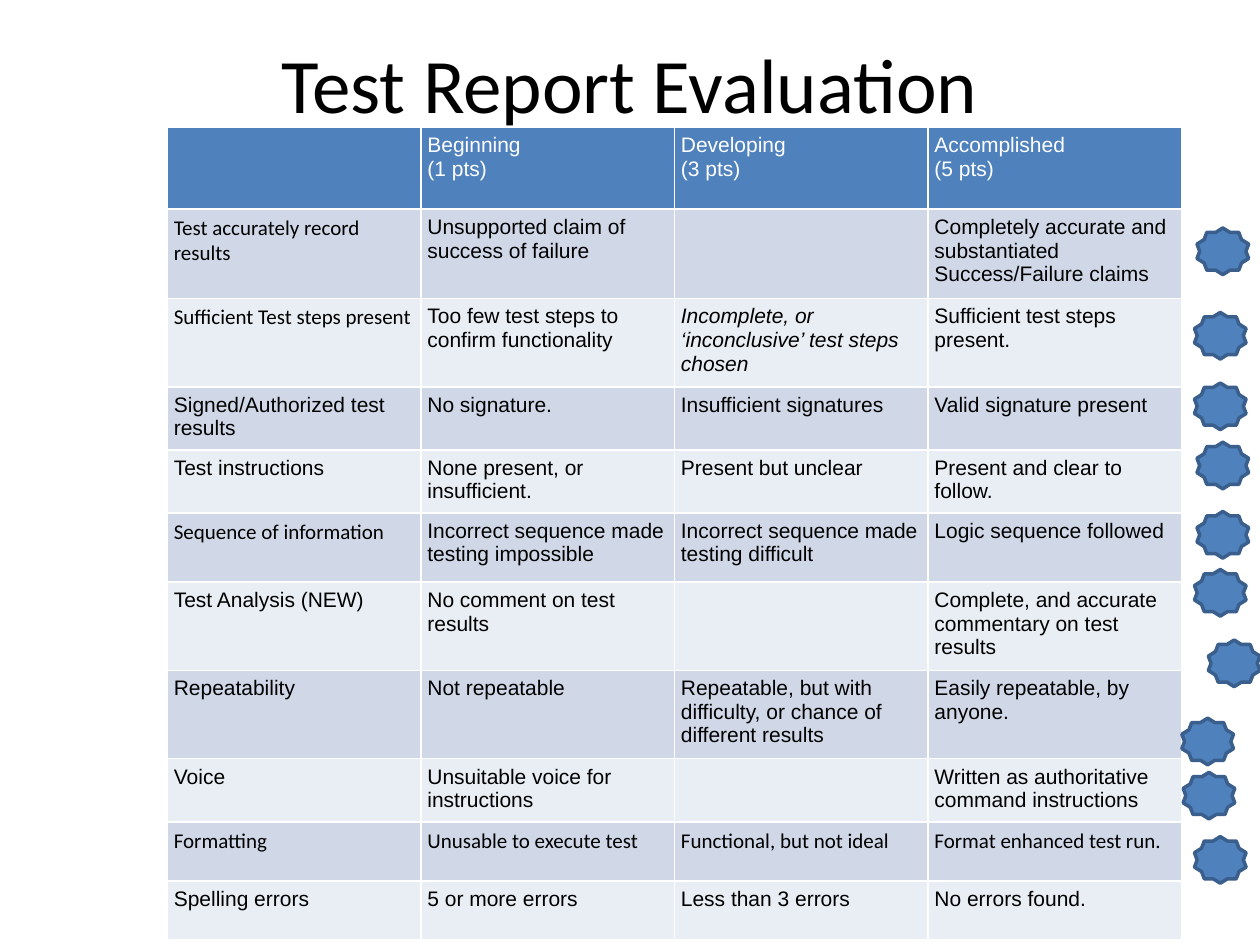
"""Build the test report evaluation rubric slide."""
from dataclasses import dataclass

from pptx import Presentation
from pptx.dml.color import RGBColor
from pptx.enum.shapes import MSO_SHAPE
from pptx.enum.text import MSO_ANCHOR, PP_ALIGN
from pptx.util import Inches, Pt

STAR = MSO_SHAPE.STAR_10_POINT
MIDDLE = MSO_ANCHOR.MIDDLE
CENTER = PP_ALIGN.CENTER

GRID_COLUMNS, GRID_ROWS = 100, 75
SLIDE_WIDTH, SLIDE_HEIGHT = Inches(10), Inches(7.5)
BLUE, DARK_BLUE = "4F81BD", "3A5F8C"
BANDS = ("D0D8E8", "E9EDF4")
BLACK, WHITE = "000000", "FFFFFF"


@dataclass(frozen=True)
class Criterion:
    """A rubric row: height in grid rows, texts, and how its fonts differ."""

    height: float
    texts: tuple[str, str, str, str]
    calibri_columns: int = 0
    italic_column: int | None = None


@dataclass(frozen=True)
class Star:
    """The top left corner of a score star, in grid columns and rows."""

    column: float
    row: float


HEADER = Criterion(6.5, ("", "Beginning\v(1 pts)", "Developing\v(3 pts)", "Accomplished\v(5 pts)"))
CRITERIA = (
    Criterion(7.1, ("Test accurately record results", "Unsupported claim of success of failure", "",
                    "Completely accurate and substantiated Success/Failure claims"), 1),
    Criterion(5.3, ("Sufficient Test steps present", "Too few test steps to confirm functionality",
                    "Incomplete, or ‘inconclusive’ test steps chosen",
                    "Sufficient test steps present."), 1, 2),
    Criterion(4.9, ("Signed/Authorized test results", "No signature.",
                    "Insufficient signatures", "Valid signature present")),
    Criterion(4.9, ("Test instructions", "None present, or insufficient.",
                    "Present but unclear", "Present and clear to follow.")),
    Criterion(5.5, ("Sequence of information", "Incorrect sequence made testing impossible",
                    "Incorrect sequence made testing difficult", "Logic sequence followed"), 1),
    Criterion(4.7, ("Test Analysis (NEW)", "No comment on test results", "",
                    "Complete, and accurate commentary on test results")),
    Criterion(4.7, ("Repeatability", "Not repeatable",
                    "Repeatable, but with difficulty, or chance of different results",
                    "Easily repeatable, by anyone.")),
    Criterion(4.7, ("Voice", "Unsuitable voice for instructions", "",
                    "Written as authoritative command instructions")),
    Criterion(4.7, ("Formatting", "Unusable to execute test",
                    "Functional, but not ideal", "Format enhanced test run."), 4),
    Criterion(4.7, ("Spelling errors", "5 or more errors",
                    "Less than 3 errors", "No errors found.")),
)
STARS = (
    Star(95, 18.1), Star(94.8, 24.8), Star(94.8, 30.4), Star(95, 35.1), Star(95, 40.6),
    Star(94.8, 45.2), Star(95.9, 50.8), Star(93.8, 57), Star(93.9, 61.3), Star(94.8, 66.4),
)


def across(columns: float) -> int:
    """Return the width of some grid columns."""
    return round(SLIDE_WIDTH * columns / GRID_COLUMNS)


def down(rows: float) -> int:
    """Return the height of some grid rows."""
    return round(SLIDE_HEIGHT * rows / GRID_ROWS)


def color(value: str) -> RGBColor:
    """Return the colour for a hex string."""
    return RGBColor.from_string(value)


def format_runs(text_frame, font_name: str, size: float, hex_color: str, italic: bool = False) -> None:
    """Format every run of a text frame."""
    for paragraph in text_frame.paragraphs:
        for run in paragraph.runs:
            run.font.name = font_name
            run.font.size = Pt(size)
            run.font.bold = False
            run.font.italic = italic
            run.font.color.rgb = color(hex_color)


def add_title(slide, text: str) -> None:
    """Add the centred slide title."""
    title = slide.shapes.add_textbox(across(5), down(3), across(90), down(7.2))
    text_frame = title.text_frame
    text_frame.word_wrap = True
    text_frame.vertical_anchor = MIDDLE
    text_frame.text = text
    text_frame.paragraphs[0].alignment = CENTER
    format_runs(text_frame, "Calibri", 44, BLACK)


def fill_row(cells, criterion: Criterion, fill: str, text_color: str) -> None:
    """Write one rubric row into its table cells."""
    for index, (cell, text) in enumerate(zip(cells, criterion.texts)):
        cell.margin_left = cell.margin_right = across(0.5)
        cell.margin_top = cell.margin_bottom = down(0.5)
        cell.fill.solid()
        cell.fill.fore_color.rgb = color(fill)
        if text:
            cell.text_frame.text = text
            font_name = "Calibri" if index < criterion.calibri_columns else "Arial"
            format_runs(cell.text_frame, font_name, 12, text_color, index == criterion.italic_column)


def add_rubric(slide) -> None:
    """Add the rubric table with its header and banded rows."""
    rows = (HEADER, *CRITERIA)
    height = sum(row.height for row in rows)
    column_count = len(HEADER.texts)
    table = slide.shapes.add_table(
        len(rows), column_count, across(13.3), down(10.1), across(80.5), down(height)
    ).table
    for index, criterion in enumerate(rows):
        table.rows[index].height = down(criterion.height)
        fill = BANDS[(index - 1) % 2] if index else BLUE
        fill_row(table.rows[index].cells, criterion, fill, BLACK if index else WHITE)


def add_star(slide, star: Star) -> None:
    """Add one score star beside the rubric."""
    shape = slide.shapes.add_shape(STAR, across(star.column), down(star.row), across(4.1), down(3.7))
    shape.shadow.inherit = False
    shape.fill.solid()
    shape.fill.fore_color.rgb = color(BLUE)
    shape.line.color.rgb = color(DARK_BLUE)
    shape.line.width = Pt(2)


def main() -> None:
    """Build and save the presentation."""
    presentation = Presentation()
    presentation.slide_width, presentation.slide_height = SLIDE_WIDTH, SLIDE_HEIGHT
    slide = presentation.slides.add_slide(presentation.slide_layouts[6])
    add_title(slide, "Test Report Evaluation")
    add_rubric(slide)
    for star in STARS:
        add_star(slide, star)
    presentation.save("out.pptx")


if __name__ == "__main__":
    main()
